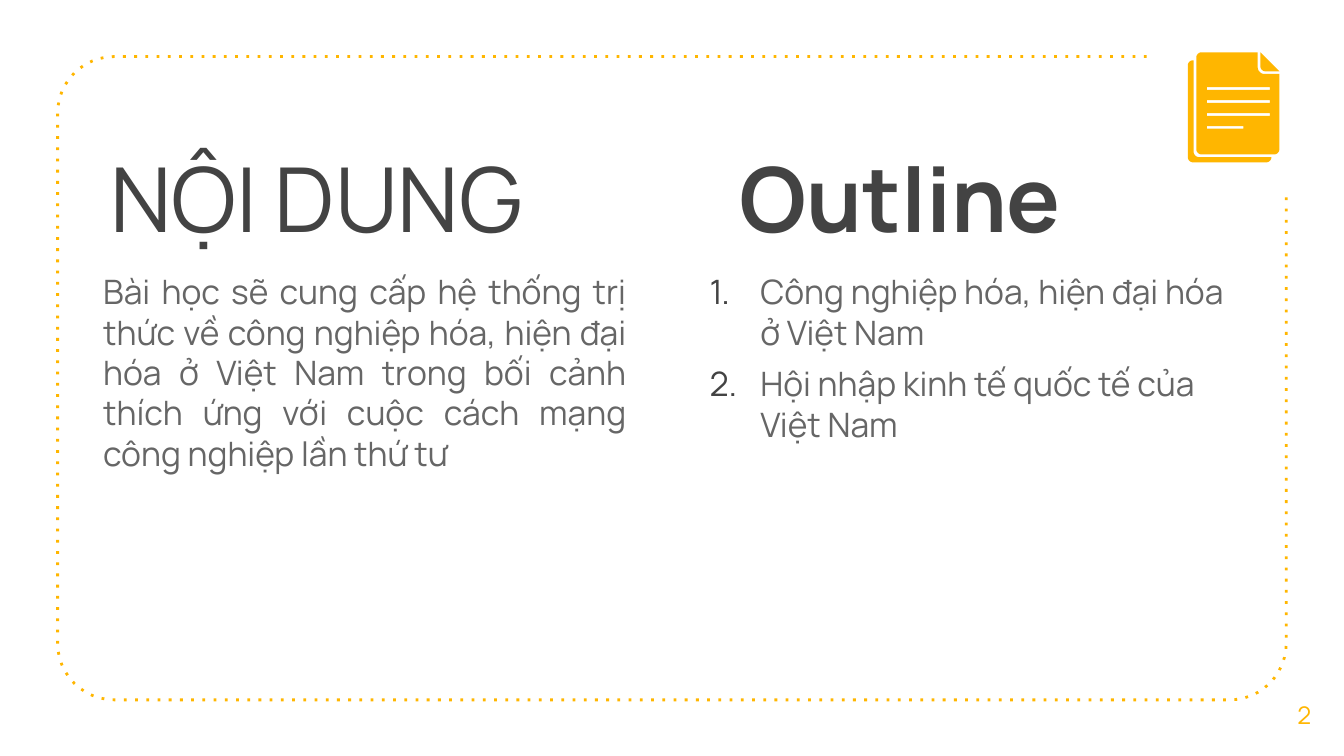
from dataclasses import dataclass
from math import cos, radians, sin

from lxml.etree import SubElement
from pptx import Presentation
from pptx.dml.color import RGBColor
from pptx.enum.dml import MSO_LINE
from pptx.enum.text import MSO_ANCHOR as ANCHOR, MSO_AUTO_SIZE as AUTO_SIZE, PP_ALIGN as ALIGN
from pptx.oxml.ns import qn
from pptx.util import Cm, Pt


@dataclass(frozen=True)
class Theme:
    font: str = "Manrope"
    accent: RGBColor = RGBColor(0xFF, 0xB6, 0x00)
    heading: RGBColor = RGBColor(0x43, 0x43, 0x43)
    body: RGBColor = RGBColor(0x66, 0x66, 0x66)
    heading_size: Pt = Pt(48)
    body_size: Pt = Pt(18)
    number_size: Pt = Pt(13)


theme = Theme()


def arc(x, y, radius, start, end):
    """Points in cm along an arc; angles in degrees, clockwise from the right."""
    return [(x + radius * cos(radians(start + (end - start) * step / 12)),
             y + radius * sin(radians(start + (end - start) * step / 12)))
            for step in range(13)]


def add_outline(shapes, contours, closed=True):
    """Draw contours given in cm; inner contours of a filled shape are holes."""
    first, *holes = [[(Cm(x), Cm(y)) for x, y in contour] for contour in contours]
    builder = shapes.build_freeform(*first[0])
    builder.add_line_segments(first[1:], close=closed)
    for hole in holes:
        builder.move_to(*hole[0])
        builder.add_line_segments(hole[1:], close=True)
    shape = builder.convert_to_shape()
    shape.shadow.inherit = False
    if closed:
        shape.fill.solid()
        shape.fill.fore_color.rgb = theme.accent
        shape.line.fill.background()
    else:
        shape.fill.background()
        shape.line.color.rgb = theme.accent
    return shape


presentation = Presentation()
presentation.slide_width, presentation.slide_height = Cm(25.4), Cm(14.29)
slide = presentation.slides.add_slide(presentation.slide_layouts[3])  # two contents

# Dotted frame, open at the top right for the icon
frame = add_outline(slide.shapes, [
    [(21.67, 1.07)]
    + arc(2.16, 2.14, 1.07, 270, 180)
    + arc(2.16, 12.16, 1.07, 180, 90)
    + arc(23.24, 12.16, 1.07, 90, 0)
    + [(24.31, 3.71)]], closed=False)
frame.line.width = Pt(1.5)
frame.line.dash_style = MSO_LINE.ROUND_DOT
frame.line._ln.find(qn("a:prstDash")).set("val", "dot")

# Document icon: back page, front page with text lines cut out, folded corner
icon = slide.shapes.add_group_shape().shapes
add_outline(icon, [
    arc(22.55, 1.24, 0.1, 270, 180)
    + arc(22.55, 2.97, 0.1, 180, 90)
    + arc(23.93, 2.97, 0.1, 90, 0)
    + arc(22.66, 2.87, 0.1, 90, 180)
    + [(22.56, 1.14)]])
page = (arc(22.71, 1.09, 0.1, 270, 180)
        + arc(22.71, 2.82, 0.1, 180, 90)
        + arc(24.08, 2.82, 0.1, 90, 0)
        + [(24.18, 1.4)]
        + arc(23.9, 1.27, 0.13, 90, 180)
        + [(23.77, 0.99)])
text_lines = []
for row, right in enumerate([24, 24, 24, 23.5]):
    top = 1.65 + 0.245 * row
    text_lines.append([(22.81, top), (right, top), (right, top + 0.05), (22.81, top + 0.05)])
add_outline(icon, [page, *text_lines])
add_outline(icon, [[(23.82, 0.99), (24.18, 1.35)] + arc(23.92, 1.25, 0.1, 90, 180)])

# Texts: shape, left, top, width, height, lines, size, colour, alignment
title, summary, outline = slide.placeholders
outline_heading = slide.shapes.add_textbox(0, 0, 0, 0)
slide_number = slide.shapes.add_textbox(0, 0, 0, 0)
texts = [
    (title, 1.83, 2.46, 10.46, 2.39, ["NỘI DUNG"],
     theme.heading_size, theme.heading, ALIGN.LEFT),
    (outline_heading, 13.72, 2.46, 10.46, 2.39, ["Outline"],
     theme.heading_size, theme.heading, ALIGN.LEFT),
    (summary, 1.7, 4.88, 10.39, 5.99,
     ["Bài học sẽ cung cấp hệ thống trị thức về công nghiệp hóa, hiện đại hóa ở Việt Nam "
      "trong bối cảnh thích ứng với cuộc cách mạng công nghiệp lần thứ tư"],
     theme.body_size, theme.body, ALIGN.JUSTIFY),
    (outline, 13.16, 4.88, 10.39, 5.99,
     ["Công nghiệp hóa, hiện đại hóa ở Việt Nam", "Hội nhập kinh tế quốc tế của Việt Nam"],
     theme.body_size, theme.body, ALIGN.LEFT),
    (slide_number, 23.9, 12.75, 1.5, 1.52, ["2"],
     theme.number_size, theme.accent, ALIGN.CENTER),
]
for shape, left, top, width, height, lines, size, color, alignment in texts:
    shape.left, shape.top, shape.width, shape.height = map(Cm, (left, top, width, height))
    frame_text = shape.text_frame
    frame_text.text = "\n".join(lines)
    frame_text.word_wrap = True
    frame_text.auto_size = AUTO_SIZE.NONE
    frame_text.vertical_anchor = ANCHOR.MIDDLE if shape is slide_number else ANCHOR.TOP
    frame_text.margin_left = frame_text.margin_right = Cm(0.25)
    frame_text.margin_top = frame_text.margin_bottom = Cm(0.25)
    for paragraph in frame_text.paragraphs:
        properties = paragraph._p.get_or_add_pPr()
        if shape is outline:
            properties.set("marL", str(Cm(0.96)))
            properties.set("indent", str(-Cm(0.96)))
            bullet_color = SubElement(properties, qn("a:buClr"))
            SubElement(bullet_color, qn("a:srgbClr"), val=str(theme.heading))
            SubElement(properties, qn("a:buFont"), typeface=theme.font)
            SubElement(properties, qn("a:buAutoNum"), type="arabicPeriod")
        else:
            properties.set("marL", "0")
            properties.set("indent", "0")
            SubElement(properties, qn("a:buNone"))
        paragraph.alignment = alignment
        paragraph.space_before = Pt(6) if shape in (summary, outline) else Pt(0)
        paragraph.font.name = theme.font
        paragraph.font.size = size
        paragraph.font.color.rgb = color
        paragraph.font.bold = shape is outline_heading

presentation.save("out.pptx")
